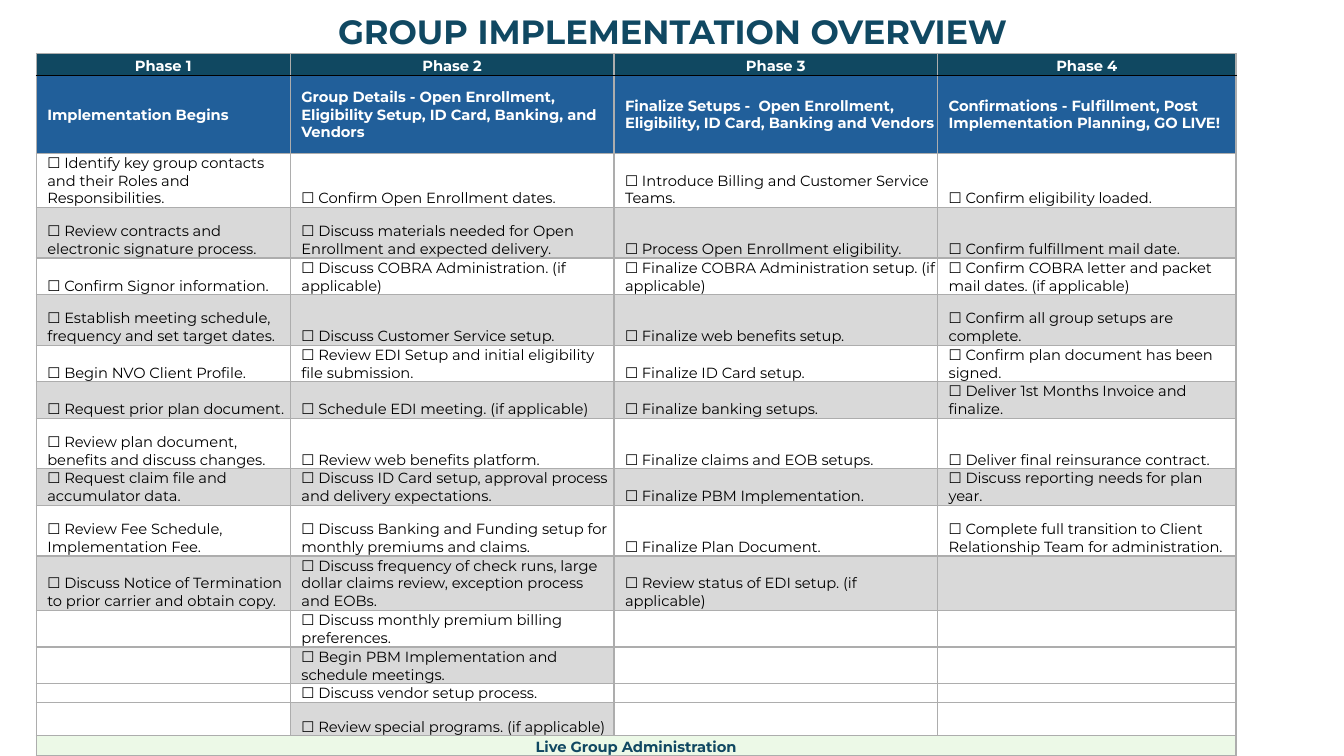
import itertools
import pptx
import pptx.util
import pptx.dml.color
import pptx.enum.text
import pptx.oxml.ns
from lxml import etree

Inches = pptx.util.Inches
ALIGN = pptx.enum.text.PP_ALIGN
ANCHOR = pptx.enum.text.MSO_ANCHOR
FONT = "Montserrat"
HUES = {
    "teal": "104862", "head": "104861", "blue": "215F9A", "band": "D9D9D9",
    "mint": "ECF9E7", "white": "FFFFFF", "black": "000000", "grid": "ADADAD",
}
WIDTHS = [2.52, 3.21, 3.21, 2.96]
HEIGHTS = [0.22, 0.77, 0.5, 0.5, 0.33, 0.5, 0.33, 0.33, 0.5, 0.33, 0.5, 0.5,
           0.33, 0.33, 0.17, 0.33, 0.2]
PHASES = {
    "Implementation Begins": [
        "Identify key group contacts and their Roles and Responsibilities.",
        "Review contracts and electronic signature process.",
        "Confirm Signor information.",
        "Establish meeting schedule, frequency and set target dates.",
        "Begin NVO Client Profile.",
        "Request prior plan document.",
        "Review plan document, benefits and discuss changes.",
        "Request claim file and accumulator data.",
        "Review Fee Schedule, Implementation Fee.",
        "Discuss Notice of Termination to prior carrier and obtain copy.",
    ],
    "Group Details - Open Enrollment, Eligibility Setup, ID Card, Banking, and Vendors": [
        "Confirm Open Enrollment dates.",
        "Discuss materials needed for Open Enrollment and expected delivery.",
        "Discuss COBRA Administration. (if applicable)",
        "Discuss Customer Service setup.",
        "Review EDI Setup and initial eligibility file submission.",
        "Schedule EDI meeting. (if applicable)",
        "Review web benefits platform.",
        "Discuss ID Card setup, approval process and delivery expectations.",
        "Discuss Banking and Funding setup for monthly premiums and claims.",
        "Discuss frequency of check runs, large dollar claims review, exception process and EOBs.",
        "Discuss monthly premium billing preferences.",
        "Begin PBM Implementation and schedule meetings.",
        "Discuss vendor setup process.",
        "Review special programs. (if applicable)",
    ],
    "Finalize Setups -  Open Enrollment, Eligibility, ID Card, Banking and Vendors": [
        "Introduce Billing and Customer Service Teams.",
        "Process Open Enrollment eligibility.",
        "Finalize COBRA Administration setup. (if applicable)",
        "Finalize web benefits setup.",
        "Finalize ID Card setup.",
        "Finalize banking setups.",
        "Finalize claims and EOB setups.",
        "Finalize PBM Implementation.",
        "Finalize Plan Document.",
        "Review status of EDI setup. (if applicable)",
    ],
    "Confirmations - Fulfillment, Post Implementation Planning, GO LIVE!": [
        "Confirm eligibility loaded.",
        "Confirm fulfillment mail date.",
        "Confirm COBRA letter and packet mail dates. (if applicable)",
        "Confirm all group setups are complete.",
        "Confirm plan document has been signed.",
        "Deliver 1st Months Invoice and finalize.",
        "Deliver final reinsurance contract.",
        "Discuss reporting needs for plan year.",
        "Complete full transition to Client Relationship Team for administration.",
    ],
}


def tint(name):
    """Give the named colour."""
    return pptx.dml.color.RGBColor.from_string(HUES[name])


def put(item, **looks):
    """Set each given attribute on the item."""
    for key, value in looks.items():
        setattr(item, key, value)


def write(para, text, size, hue, bold):
    """Add one styled run to the paragraph."""
    run = para.add_run()
    run.text = text
    put(run.font, name=FONT, size=pptx.util.Pt(size), bold=bold)
    run.font.color.rgb = tint(hue)


def edge(cell, side, hue):
    """Draw one border of the cell."""
    qn = pptx.oxml.ns.qn
    line = etree.SubElement(cell._tc.get_or_add_tcPr(), qn("a:ln" + side), w="12700")
    fill = etree.SubElement(line, qn("a:solidFill"))
    etree.SubElement(fill, qn("a:srgbClr"), val=HUES[hue])


def style(cell, text, fill, hue="black", bold=False, mid=False, dark=""):
    """Fill, border and write one cell."""
    put(cell, margin_left=Inches(0.01), margin_right=Inches(0.01),
        margin_top=Inches(0.01), margin_bottom=0,
        vertical_anchor=ANCHOR.MIDDLE if fill == "blue" else ANCHOR.BOTTOM)
    for side in "LRTB":
        edge(cell, side, "black" if side == dark else "grid")
    cell.fill.solid()
    cell.fill.fore_color.rgb = tint(fill)
    para = cell.text_frame.paragraphs[0]
    if not text:
        etree.SubElement(para._p, pptx.oxml.ns.qn("a:endParaRPr"), sz="800")
        return
    if mid:
        para.alignment = ALIGN.CENTER
    else:
        para._p.get_or_add_pPr().set("marL", str(Inches(0.1)))
    write(para, text, 10.5, hue, bold)


def title(slide, left, top, width, height):
    """Place the slide title in its box."""
    box = slide.shapes.title
    put(box, left=left, top=top, width=width, height=height)
    put(box.text_frame, word_wrap=True, vertical_anchor=ANCHOR.MIDDLE,
        auto_size=pptx.enum.text.MSO_AUTO_SIZE.NONE)
    para = box.text_frame.paragraphs[0]
    put(para, alignment=ALIGN.CENTER, line_spacing=0.9)
    write(para, "GROUP IMPLEMENTATION OVERVIEW", 24, "teal", True)


def plan(slide, left, top, width, height):
    """Build the table of phases and tasks in its box."""
    grid = slide.shapes.add_table(len(HEIGHTS), len(WIDTHS), left, top, width, height).table
    put(grid, first_row=False, horz_banding=False)
    for col, size in zip(grid.columns, WIDTHS):
        col.width = Inches(size)
    for row, size in zip(grid.rows, HEIGHTS):
        row.height = Inches(size)
    for col, name in enumerate(PHASES):
        style(grid.cell(0, col), f"Phase {col + 1}", "head", "white", True, True, "B")
        style(grid.cell(1, col), name, "blue", "white", True, dark="T")
    tasks = itertools.zip_longest(*PHASES.values())
    for row, line in enumerate(tasks, 2):
        for col, task in enumerate(line):
            band = row % 2 and (task or row < 12)
            style(grid.cell(row, col), task and "☐ " + task, "band" if band else "white")
    last = len(HEIGHTS) - 1
    grid.cell(last, 0).merge(grid.cell(last, len(WIDTHS) - 1))
    for col in range(len(WIDTHS)):
        text = "" if col else "Live Group Administration"
        style(grid.cell(last, col), text, "mint", "teal", True, True)


def main():
    """Build and save the slide."""
    deck = pptx.Presentation()
    put(deck, slide_width=Inches(13.33), slide_height=Inches(7.5))
    slide = deck.slides.add_slide(deck.slide_layouts[5])
    title(slide, *map(Inches, (0.92, 0.06, 11.5, 0.54)))
    plan(slide, *map(Inches, (0.36, 0.53, sum(WIDTHS), sum(HEIGHTS))))
    deck.save("out.pptx")


if __name__ == "__main__":
    main()
